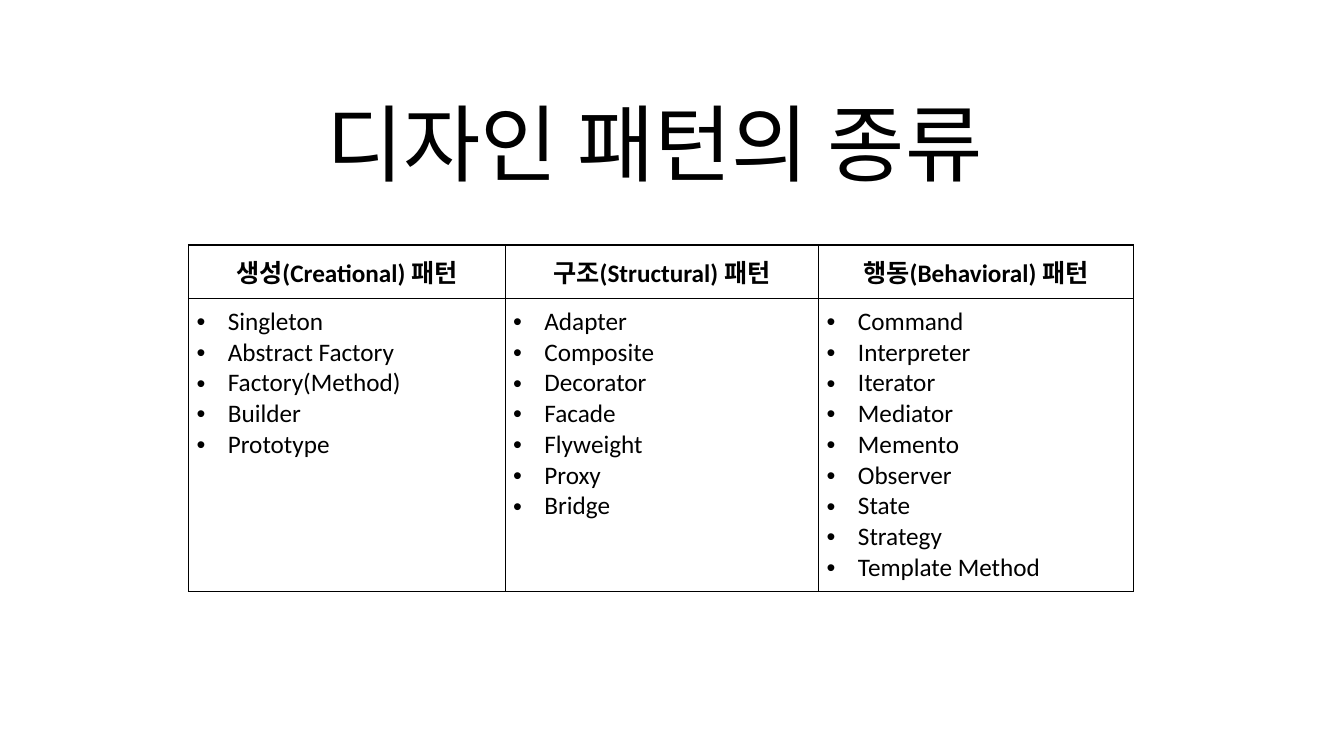
import pptx
import pptx.util
import pptx.dml.color
import pptx.enum.text
import pptx.oxml
import pptx.oxml.ns
from lxml import etree

Inches = pptx.util.Inches
Pt = pptx.util.Pt
ALIGN = pptx.enum.text.PP_ALIGN
ANCHOR = pptx.enum.text.MSO_ANCHOR

TITLE = "디자인 패턴의 종류"
GROUPS = [
    ("생성(Creational) 패턴",
     ["Singleton", "Abstract Factory", "Factory(Method)", "Builder", "Prototype"]),
    ("구조(Structural) 패턴",
     ["Adapter", "Composite", "Decorator", "Facade", "Flyweight", "Proxy", "Bridge"]),
    ("행동(Behavioral) 패턴",
     ["Command", "Interpreter", "Iterator", "Mediator", "Memento", "Observer",
      "State", "Strategy", "Template Method"]),
]
WIDTHS = [3.14, 3.11, 3.12]
HEIGHTS = [0.53, 2.9]
FONT = "Calibri"
INK = "000000"
PAPER = "FFFFFF"
PAD = 0.08
INDENT = 0.31


def color(code):
    return pptx.dml.color.RGBColor.from_string(code)


def write(para, text, size, bold=False):
    run = para.add_run()
    run.text = text
    run.font.name = FONT
    run.font.size = Pt(size)
    run.font.bold = bold
    run.font.color.rgb = color(INK)


def bullet(para):
    props = para._p.get_or_add_pPr()
    props.set("marL", str(Inches(INDENT)))
    props.set("indent", str(-Inches(INDENT)))
    etree.SubElement(props, pptx.oxml.ns.qn("a:buFont")).set("typeface", "Arial")
    etree.SubElement(props, pptx.oxml.ns.qn("a:buChar")).set("char", "•")


def border(cell):
    props = cell._tc.get_or_add_tcPr()
    for spot, side in enumerate(("lnL", "lnR", "lnT", "lnB")):
        props.insert(spot, pptx.oxml.parse_xml(
            f'<a:{side} {pptx.oxml.ns.nsdecls("a")} w="{Pt(1)}"><a:solidFill>'
            f'<a:srgbClr val="{INK}"/></a:solidFill></a:{side}>'))


def fill(cell, lines, head):
    cell.margin_left = cell.margin_right = Inches(PAD)
    cell.margin_top = cell.margin_bottom = Inches(PAD)
    cell.fill.solid()
    cell.fill.fore_color.rgb = color(PAPER)
    border(cell)
    frame = cell.text_frame
    for i, line in enumerate(lines):
        para = frame.add_paragraph() if i else frame.paragraphs[0]
        if head:
            para.alignment = ALIGN.CENTER
        else:
            bullet(para)
        write(para, line, 18, head)


def main():
    deck = pptx.Presentation()
    deck.slide_width = Inches(13.33)
    deck.slide_height = Inches(7.5)
    slide = deck.slides.add_slide(deck.slide_layouts[6])

    grid = slide.shapes.add_table(
        len(HEIGHTS), len(GROUPS), Inches(1.87), Inches(2.43),
        Inches(sum(WIDTHS)), Inches(sum(HEIGHTS))).table
    grid.horz_banding = False
    grid.first_row = False
    for row, high in zip(grid.rows, HEIGHTS):
        row.height = Inches(high)
    for col, (name, items) in enumerate(GROUPS):
        grid.columns[col].width = Inches(WIDTHS[col])
        fill(grid.cell(0, col), [name], True)
        fill(grid.cell(1, col), items, False)

    box = slide.shapes.add_textbox(Inches(1.49), Inches(0.92), Inches(10), Inches(1.11))
    frame = box.text_frame
    frame.word_wrap = True
    frame.vertical_anchor = ANCHOR.MIDDLE
    para = frame.paragraphs[0]
    para.alignment = ALIGN.CENTER
    para.line_spacing = 0.9
    write(para, TITLE, 60)

    deck.save("out.pptx")


if __name__ == "__main__":
    main()
